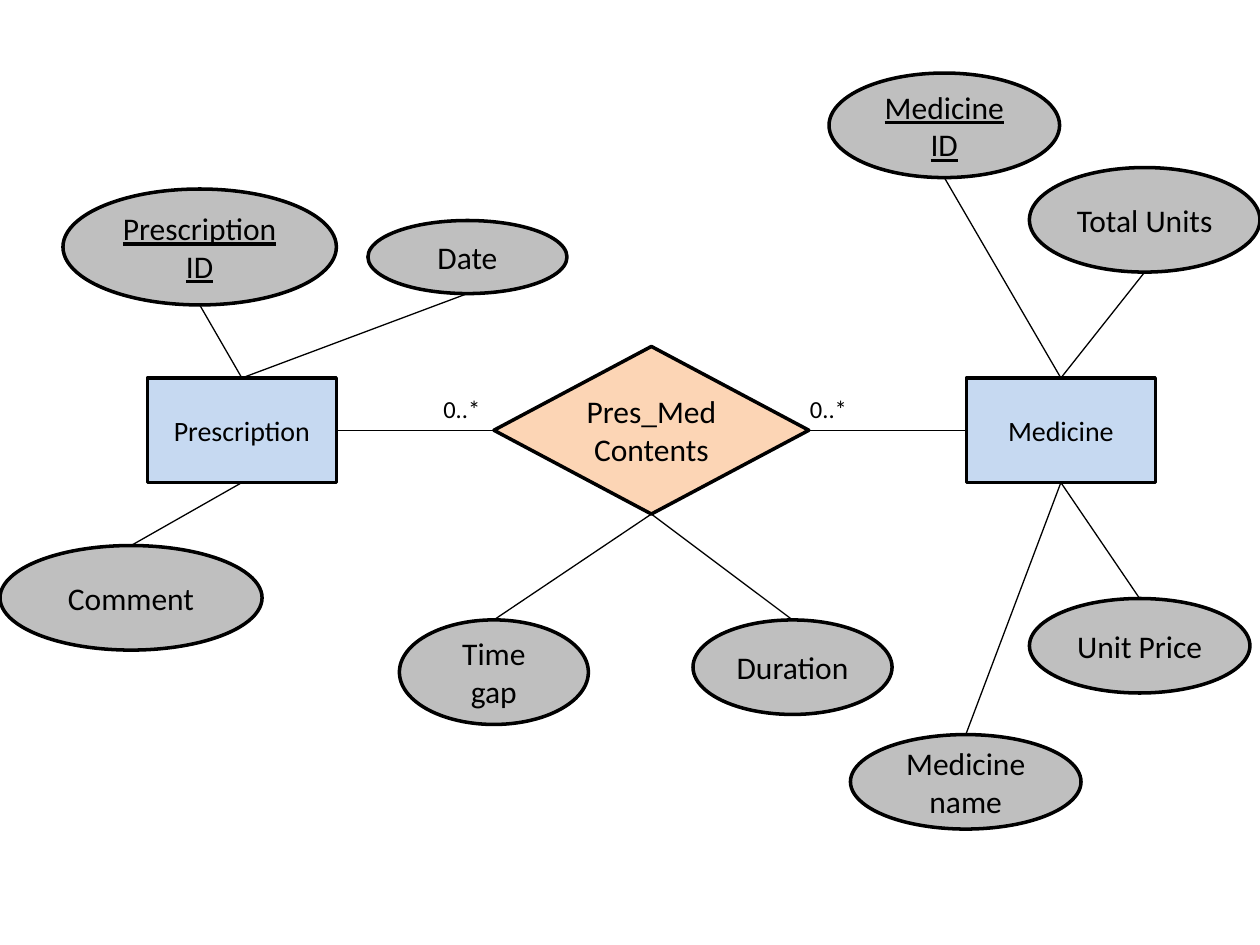
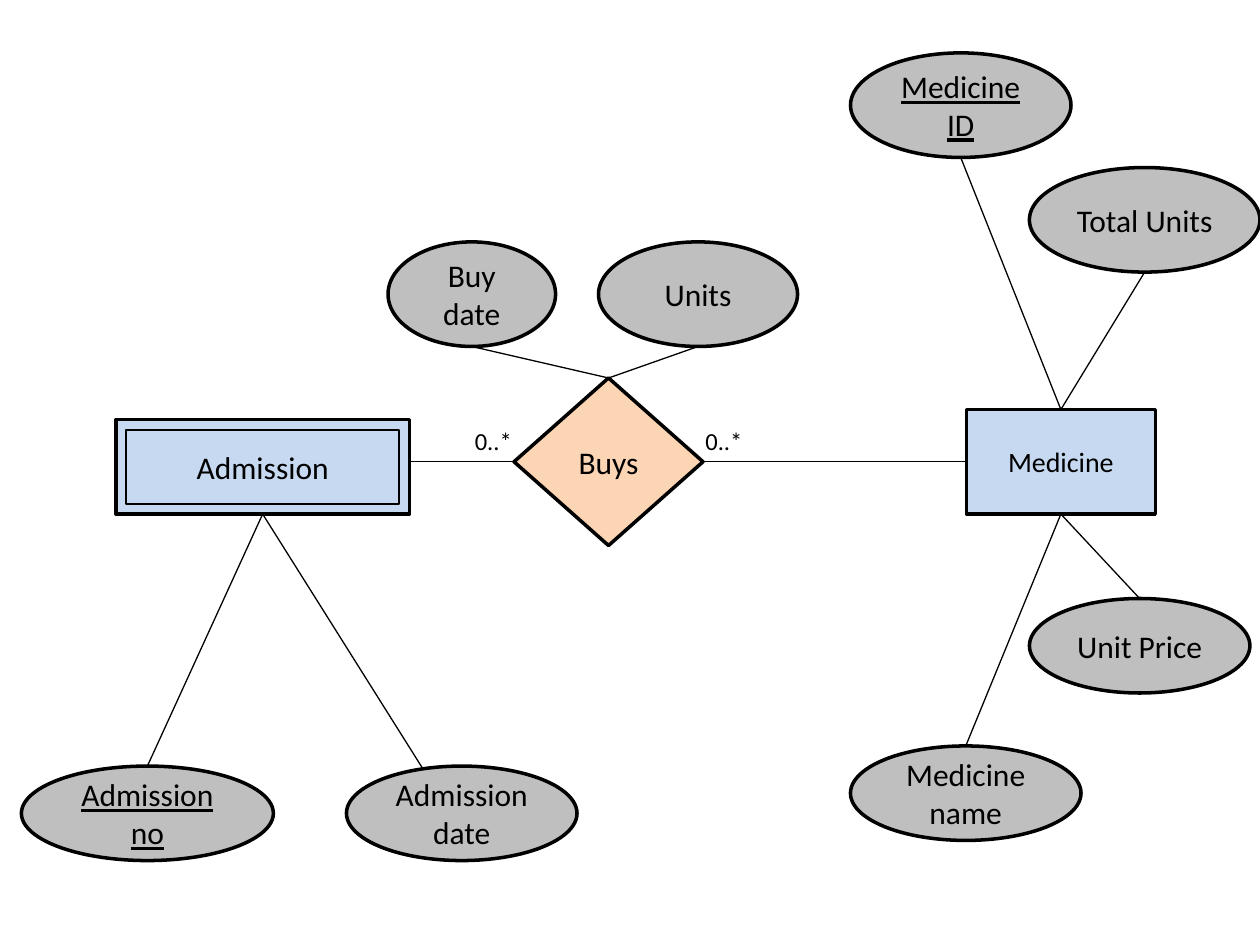
from dataclasses import dataclass
from typing import Optional

from lxml import etree
from pptx import Presentation
from pptx.dml.color import RGBColor
from pptx.enum.shapes import MSO_CONNECTOR, MSO_SHAPE
from pptx.enum.text import MSO_ANCHOR, MSO_AUTO_SIZE, PP_ALIGN
from pptx.oxml.ns import qn
from pptx.util import Inches, Pt

RECTANGLE = MSO_SHAPE.RECTANGLE
ELLIPSE = MSO_SHAPE.OVAL
DIAMOND = MSO_SHAPE.FLOWCHART_DECISION
STRAIGHT = MSO_CONNECTOR.STRAIGHT
CENTER = PP_ALIGN.CENTER
MIDDLE = MSO_ANCHOR.MIDDLE
FIT_SHAPE = MSO_AUTO_SIZE.SHAPE_TO_FIT_TEXT

BLACK = RGBColor(0x00, 0x00, 0x00)
ENTITY_BLUE = RGBColor(0xC6, 0xD9, 0xF1)
ATTRIBUTE_GREY = RGBColor(0xBF, 0xBF, 0xBF)
RELATION_PEACH = RGBColor(0xFC, 0xD5, 0xB5)
FONT = "Calibri"
TOP, LEFT, BOTTOM, RIGHT = range(4)
WEAK_INSET = 0.08


@dataclass(frozen=True)
class Box:
    left: float
    top: float
    width: float
    height: float

    @property
    def right(self) -> float:
        return self.left + self.width

    @property
    def bottom(self) -> float:
        return self.top + self.height

    @property
    def center_x(self) -> float:
        return self.left + self.width / 2

    @property
    def center_y(self) -> float:
        return self.top + self.height / 2

    def inset(self, gap: float) -> "Box":
        return Box(self.left + gap, self.top + gap, self.width - 2 * gap, self.height - 2 * gap)


@dataclass(frozen=True)
class Entity:
    label: str
    box: Box
    weak: bool = False


@dataclass(frozen=True)
class Relationship:
    label: str
    box: Box


@dataclass(frozen=True)
class Attribute:
    label: str
    box: Box
    owner: str
    key: bool = False
    link_end: Optional[tuple[float, float]] = None


@dataclass(frozen=True)
class Diagram:
    source: Entity
    relationship: Relationship
    target: Entity
    attributes: list[Attribute]
    cardinalities: list[Box]


SHARED_MEDICINE_ATTRIBUTES = [
    Attribute("Unit Price", Box(8.17, 4.75, 1.75, 0.75), "Medicine"),
    Attribute("Total Units", Box(8.17, 1.33, 1.83, 0.83), "Medicine"),
]

DIAGRAMS = [
    Diagram(
        Entity("Prescription", Box(1.17, 3, 1.5, 0.83)),
        Relationship("Pres_Med Contents", Box(3.92, 2.75, 2.5, 1.33)),
        Entity("Medicine", Box(7.67, 3, 1.5, 0.83)),
        [
            Attribute("Prescription ID", Box(0.5, 1.5, 2.17, 0.92), "Prescription", key=True),
            Attribute("Date", Box(2.92, 1.75, 1.58, 0.58), "Prescription"),
            Attribute("Comment", Box(0, 4.33, 2.08, 0.83), "Prescription"),
            Attribute("Time gap", Box(3.17, 4.92, 1.5, 0.83), "Pres_Med Contents"),
            Attribute("Duration", Box(5.5, 4.92, 1.58, 0.75), "Pres_Med Contents"),
            Attribute("Medicine name", Box(6.75, 5.83, 1.83, 0.75), "Medicine"),
            Attribute("Medicine ID", Box(6.58, 0.58, 1.83, 0.83), "Medicine", key=True),
            *SHARED_MEDICINE_ATTRIBUTES,
        ],
        [Box(3.42, 3.08, 0.5, 0.34), Box(6.33, 3.08, 0.5, 0.34)],
    ),
    Diagram(
        Entity("Admission", Box(0.92, 3.33, 2.33, 0.75), weak=True),
        Relationship("Buys", Box(4.08, 3, 1.5, 1.33)),
        Entity("Medicine", Box(7.67, 3.25, 1.5, 0.83)),
        [
            Attribute("Admission no", Box(0.17, 6.08, 2, 0.75), "Admission", key=True),
            Attribute("Admission date", Box(2.75, 6.08, 1.83, 0.75), "Admission",
                      link_end=(3.5, 6.33)),
            Attribute("Buy date", Box(3.08, 1.92, 1.33, 0.83), "Buys"),
            Attribute("Units", Box(4.75, 1.92, 1.58, 0.83), "Buys"),
            Attribute("Medicine name", Box(6.75, 5.92, 1.83, 0.75), "Medicine"),
            Attribute("Medicine ID", Box(6.75, 0.42, 1.75, 0.83), "Medicine", key=True),
            *SHARED_MEDICINE_ATTRIBUTES,
        ],
        [Box(3.67, 3.33, 0.5, 0.34), Box(5.5, 3.33, 0.5, 0.34)],
    ),
]


def write(frame, text: str, size: int, underline: bool = False) -> None:
    frame.text = text
    font = frame.paragraphs[0].runs[0].font
    font.name = FONT
    font.size = Pt(size)
    font.color.rgb = BLACK
    if underline:
        font.underline = True


def add_node(slide, kind, box: Box, fill: RGBColor, label: str = "", size: int = 18,
             underline: bool = False, border: float = 2):
    node = slide.shapes.add_shape(
        kind, Inches(box.left), Inches(box.top), Inches(box.width), Inches(box.height))
    node.shadow.inherit = False
    node.fill.solid()
    node.fill.fore_color.rgb = fill
    node.line.color.rgb = BLACK
    node.line.width = Pt(border)
    if label:
        node.text_frame.vertical_anchor = MIDDLE
        write(node.text_frame, label, size, underline)
        node.text_frame.paragraphs[0].alignment = CENTER
    return node


def add_link(slide, start: tuple[float, float], end: tuple[float, float]):
    link = slide.shapes.add_connector(STRAIGHT, *map(Inches, start + end))
    link.line.color.rgb = BLACK
    link.line.width = Pt(0.75)
    etree.SubElement(link._element.spPr, qn("a:effectLst"))
    return link


def add_entity(slide, entity: Entity):
    if not entity.weak:
        return add_node(slide, RECTANGLE, entity.box, ENTITY_BLUE, entity.label, size=16)
    frame = add_node(slide, RECTANGLE, entity.box, ENTITY_BLUE)
    add_node(slide, RECTANGLE, entity.box.inset(WEAK_INSET), ENTITY_BLUE, entity.label, border=1)
    return frame


def add_attribute(slide, attribute: Attribute, owner, owner_box: Box) -> None:
    box = attribute.box
    above = box.bottom <= owner_box.top
    start = (owner_box.center_x, owner_box.top if above else owner_box.bottom)
    end = attribute.link_end or (box.center_x, box.bottom if above else box.top)
    link = add_link(slide, start, end)
    ellipse = add_node(slide, ELLIPSE, box, ATTRIBUTE_GREY, attribute.label,
                       underline=attribute.key)
    link.begin_connect(owner, TOP if above else BOTTOM)
    if not above and attribute.link_end is None:
        link.end_connect(ellipse, TOP)


def add_cardinality(slide, box: Box) -> None:
    cardinality = slide.shapes.add_textbox(
        Inches(box.left), Inches(box.top), Inches(box.width), Inches(box.height))
    cardinality.text_frame.word_wrap = False
    cardinality.text_frame.auto_size = FIT_SHAPE
    write(cardinality.text_frame, "0..*", 14)


def draw_diagram(slide, diagram: Diagram) -> None:
    source, relationship, target = diagram.source, diagram.relationship, diagram.target
    diamond_box = relationship.box
    level = diamond_box.center_y
    source_node = add_entity(slide, source)
    target_node = add_entity(slide, target)
    diamond = add_node(slide, DIAMOND, diamond_box, RELATION_PEACH, relationship.label)

    source_link = add_link(slide, (source.box.right, level), (diamond_box.left, level))
    if not source.weak:
        source_link.begin_connect(source_node, RIGHT)
    source_link.end_connect(diamond, LEFT)
    target_link = add_link(slide, (diamond_box.right, level), (target.box.left, level))
    target_link.begin_connect(diamond, RIGHT)
    target_link.end_connect(target_node, LEFT)

    owners = {
        source.label: (source_node, source.box),
        relationship.label: (diamond, diamond_box),
        target.label: (target_node, target.box),
    }
    for attribute in diagram.attributes:
        add_attribute(slide, attribute, *owners[attribute.owner])
    for box in diagram.cardinalities:
        add_cardinality(slide, box)


def main() -> None:
    presentation = Presentation()
    presentation.slide_width = Inches(10)
    presentation.slide_height = Inches(7.5)
    blank_layout = presentation.slide_layouts[6]
    for diagram in DIAGRAMS:
        draw_diagram(presentation.slides.add_slide(blank_layout), diagram)
    presentation.save("out.pptx")


if __name__ == "__main__":
    main()
